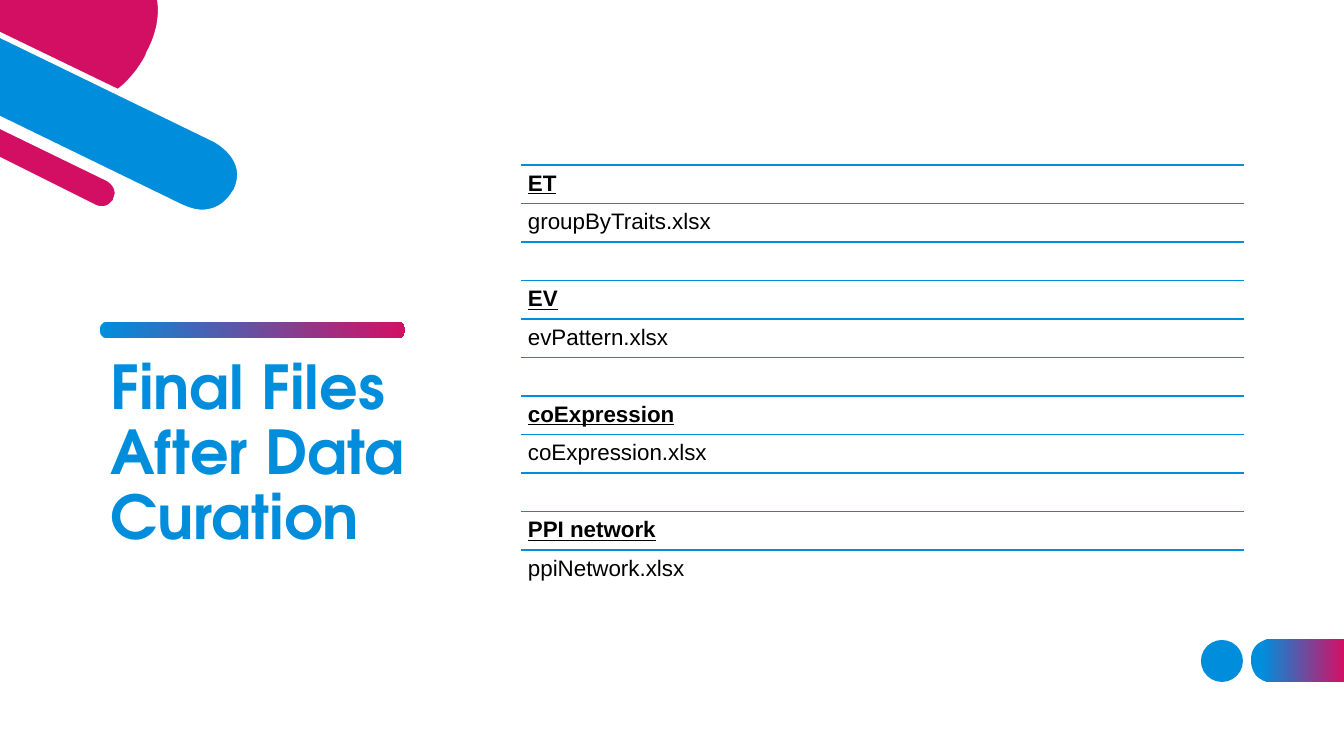
from pptx import Presentation
from pptx import util as u
from pptx.dml.color import RGBColor
from pptx.enum import shapes, text
from lxml import etree

PX = 914400 / 100.8
FINE = 10  # freeform units per pixel, keeps curves smooth
STEPS = 16
COLORS = {"blue": "008EDC", "magenta": "D30F64", "white": "FFFFFF", "black": "000000"}
RGB = {name: RGBColor.from_string(value) for name, value in COLORS.items()}


def paint(shape, fill, rim=None, start=0):
    """Fill a shape with one colour or a pair as gradient, with an optional rim."""
    shape.shadow.inherit = False
    if isinstance(fill, tuple):
        shape.fill.gradient()
        shape.fill.gradient_angle = 0
        for stop, name, position in zip(shape.fill.gradient_stops, fill, (start, 1)):
            stop.color.rgb = RGB[name]
            stop.position = position
    else:
        shape.fill.solid()
        shape.fill.fore_color.rgb = RGB[fill]
    if rim:
        shape.line.color.rgb = RGB[rim]
        shape.line.width = u.Pt(2.6)
    else:
        shape.line.fill.background()


def outline(segments):
    """Build a closed outline from pixel points (x, y) and Bezier curves of six numbers."""
    points = [segments[0]]
    for segment in segments[1:]:
        if len(segment) == 2:
            points.append(segment)
            continue
        x0, y0 = points[-1]
        x1, y1, x2, y2, x3, y3 = segment
        for step in range(1, STEPS + 1):
            t = step / STEPS
            a, b, c, d = (1 - t) ** 3, 3 * t * (1 - t) ** 2, 3 * t * t * (1 - t), t ** 3
            points.append((a * x0 + b * x1 + c * x2 + d * x3,
                           a * y0 + b * y1 + c * y2 + d * y3))
    points = [(x * FINE, y * FINE) for x, y in points]
    builder = slide.shapes.build_freeform(*points[0], scale=PX / FINE)
    builder.add_line_segments(points[1:], close=True)
    return builder.convert_to_shape()


deck = Presentation()
deck.slide_width, deck.slide_height = round(1344 * PX), round(756 * PX)
slide = deck.slides.add_slide(deck.slide_layouts[5])

# Corner decoration; the white rims separate the parts
corner_parts = [
    ("magenta", [(147, 56), (147, 56, 137, 77, 118, 91), (-4, 32), (-4, -4), (159, -4),
                 (159, 0), (161, 15, 159, 33, 148, 53)]),
    ("blue", [(214, 140), (214, 140, 251, 158, 235, 191), (234, 192),
              (234, 192, 218, 224, 181, 206), (-4, 116), (-4, 34)]),
    ("magenta", [(-4, 125), (107, 179), (107, 179, 121, 186, 115, 199), (115, 200),
                 (115, 200, 108, 213, 94, 206), (-4, 157)]),
]
for color, segments in corner_parts:
    paint(outline(segments), color, rim="white")

# Page marker at the lower right
page_dot = slide.shapes.add_shape(
    shapes.MSO_SHAPE.OVAL, *(round(v * PX) for v in (1201, 640, 42, 42)))
paint(page_dot, "blue")
page_tab = outline([(1272, 682), (1344, 682), (1344, 639), (1272, 639),
                    (1272, 639, 1251, 639, 1251, 660), (1251, 661),
                    (1251, 661, 1251, 682, 1272, 682)])
paint(page_tab, ("blue", "magenta"), start=0.12)

# Title with its accent bar
accent_bar = slide.shapes.add_shape(
    shapes.MSO_SHAPE.ROUNDED_RECTANGLE, *(round(v * PX) for v in (100, 322, 305, 16)))
accent_bar.adjustments[0] = 0.4
paint(accent_bar, ("blue", "magenta"))

title = slide.shapes.title
for side, value in {"left": 100, "top": 298, "width": 318, "height": 260}.items():
    setattr(title, side, round(value * PX))
title.text_frame.text = "Final Files After Data Curation"
title.text_frame.vertical_anchor = text.MSO_ANCHOR.BOTTOM
title.text_frame.auto_size = text.MSO_AUTO_SIZE.NONE
heading = title.text_frame.paragraphs[0]
heading.alignment = text.PP_ALIGN.LEFT
heading.line_spacing = 0.9
for key, value in {"name": "TeX Gyre Adventor", "size": u.Pt(43.2), "bold": True}.items():
    setattr(heading.runs[0].font, key, value)
heading.runs[0].font.color.rgb = RGB["blue"]

# Ruled list of files: group name, file, blank row
LIST_LEFT, LIST_TOP, LIST_WIDTH, ROW = 521, 165, 723, 38.5
INSET = round(7 * PX)
FRAME = {"word_wrap": True, "margin_left": INSET, "margin_top": INSET,
         "margin_right": INSET, "margin_bottom": INSET}
rows = ["ET", "groupByTraits.xlsx", "",
        "EV", "evPattern.xlsx", "",
        "coExpression", "coExpression.xlsx", "",
        "PPI network", "ppiNetwork.xlsx"]
for index, label in enumerate(rows):
    left, width = round(LIST_LEFT * PX), round(LIST_WIDTH * PX)
    top = round((LIST_TOP + index * ROW) * PX)
    rule = slide.shapes.add_connector(
        shapes.MSO_CONNECTOR.STRAIGHT, left, top, left + width, top)
    rule.line.color.rgb = RGB["blue"]
    rule.line.width = u.Pt(1)
    etree.SubElement(rule._element.spPr,
                     "{http://schemas.openxmlformats.org/drawingml/2006/main}effectLst")
    if not label:
        continue
    frame = slide.shapes.add_textbox(left, top, width, round(ROW * PX)).text_frame
    for key, value in FRAME.items():
        setattr(frame, key, value)
    entry = frame.paragraphs[0]
    entry.line_spacing = 0.9
    run = entry.add_run()
    run.text = label
    is_group = index % 3 == 0
    for key, value in {"name": "Arial", "size": u.Pt(16),
                       "bold": is_group, "underline": is_group}.items():
        setattr(run.font, key, value)
    run.font.color.rgb = RGB["black"]

deck.save("out.pptx")
